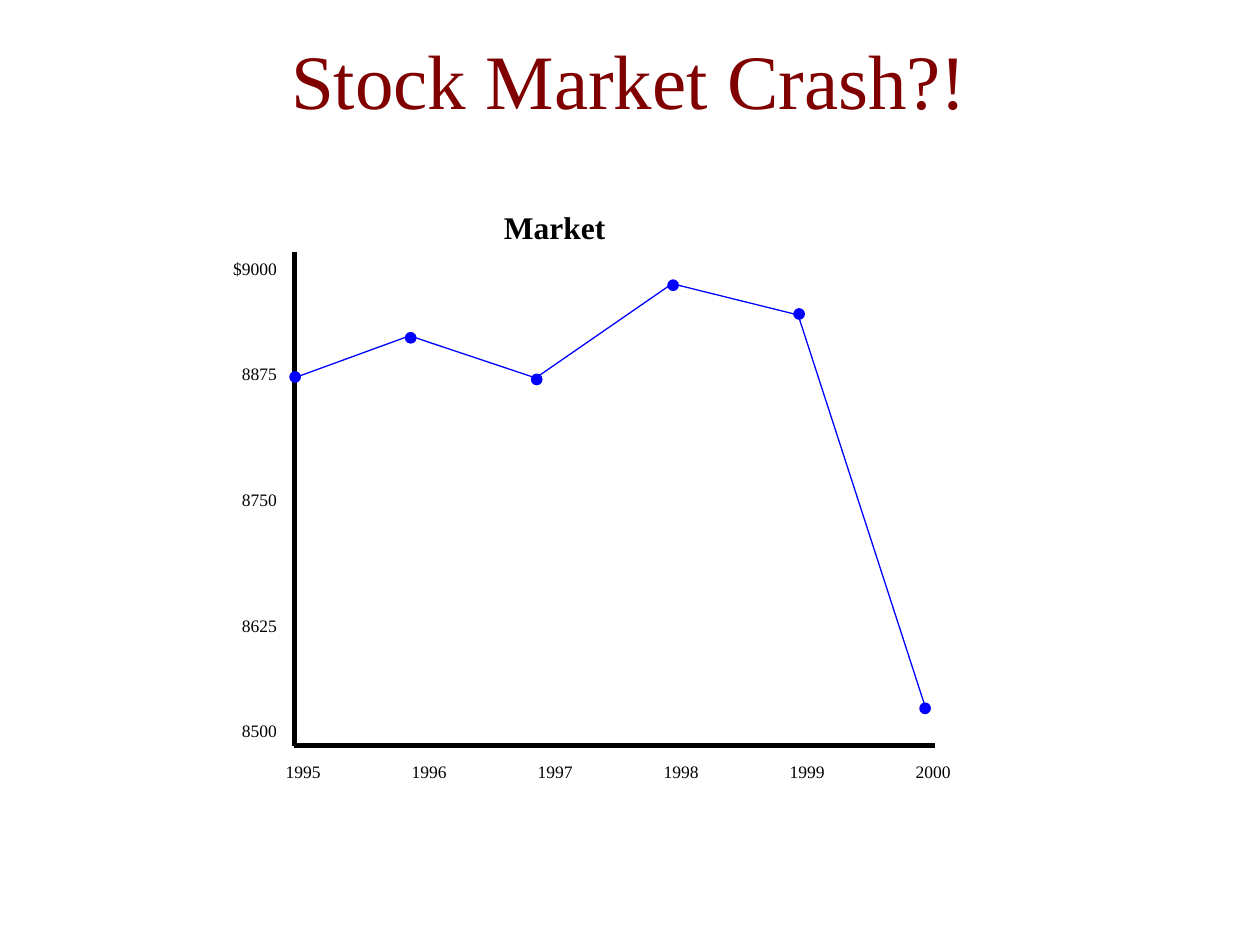
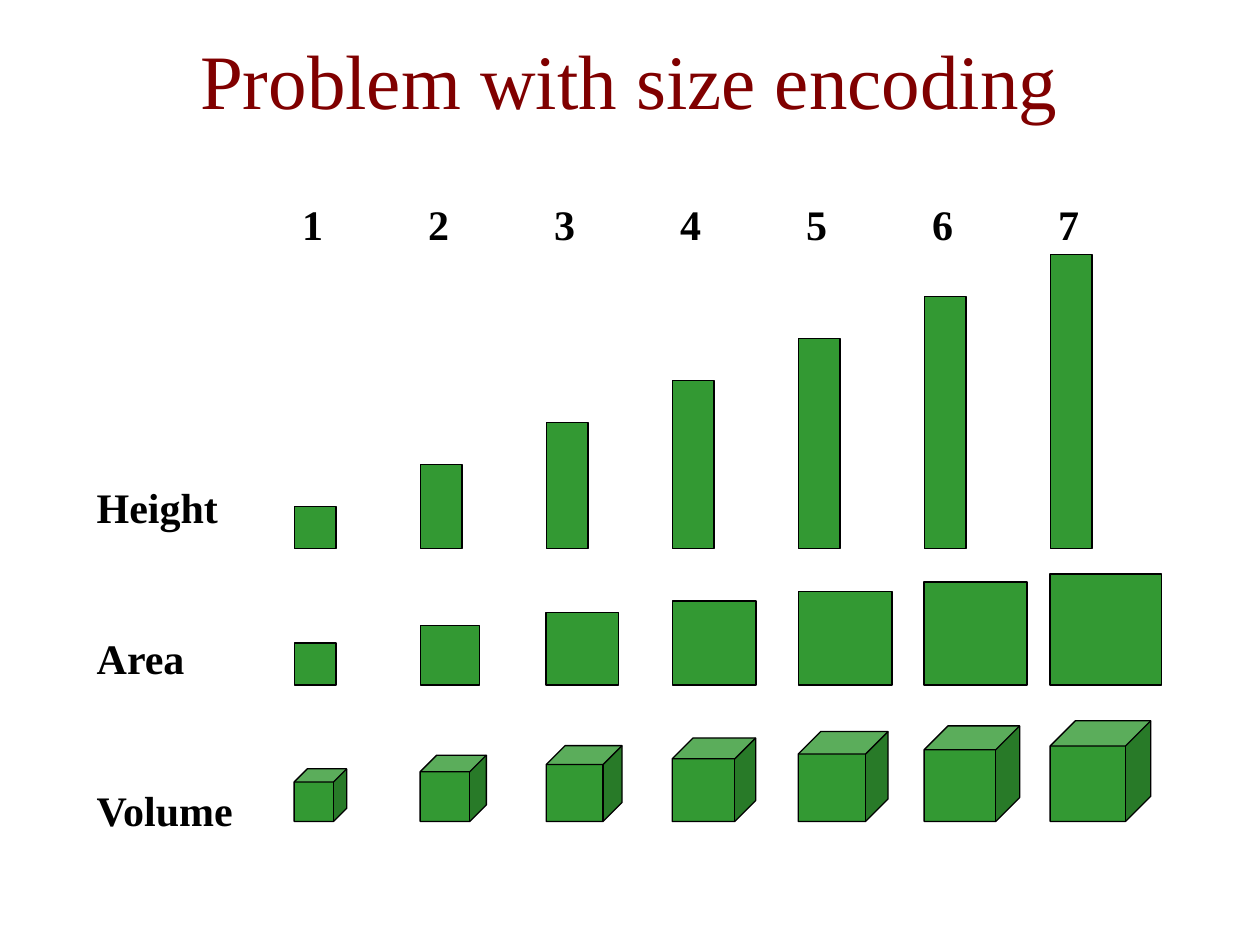
from math import sqrt

from lxml import etree
from pptx import Presentation
from pptx.dml.color import RGBColor
from pptx.enum.shapes import MSO_CONNECTOR, MSO_SHAPE
from pptx.enum.text import MSO_ANCHOR, MSO_AUTO_SIZE, PP_ALIGN
from pptx.oxml.ns import qn
from pptx.util import Cm, Pt

STRAIGHT = MSO_CONNECTOR.STRAIGHT
RECTANGLE, CUBE, OVAL = MSO_SHAPE.RECTANGLE, MSO_SHAPE.CUBE, MSO_SHAPE.OVAL
LEFT, CENTER, RIGHT = PP_ALIGN.LEFT, PP_ALIGN.CENTER, PP_ALIGN.RIGHT
TOP, MIDDLE = MSO_ANCHOR.TOP, MSO_ANCHOR.MIDDLE
NO_FIT = MSO_AUTO_SIZE.NONE

COLORS = {"title": "800000", "ink": "000000", "series": "0000FF", "block": "339933"}
FONT = "Times New Roman"
LINE_HEIGHT = 1.2
TAB_STEP = 2.54
AXIS_LEFT = 5.93


def color(name):
    return RGBColor.from_string(COLORS[name])


def write_text(frame, lines, size, ink="ink", bold=False, align=LEFT, anchor=TOP, gaps=()):
    frame.word_wrap = True
    frame.auto_size = NO_FIT
    frame.vertical_anchor = anchor
    frame.margin_left = frame.margin_right = Cm(0.25)
    frame.margin_top = frame.margin_bottom = Cm(0.13)
    for index, line in enumerate(lines):
        para = frame.add_paragraph() if index else frame.paragraphs[0]
        tab_count = line.count("\t")
        if tab_count:
            stops = etree.SubElement(para._p.get_or_add_pPr(), qn("a:tabLst"))
            for stop in range(1, tab_count + 1):
                etree.SubElement(stops, qn("a:tab"), pos=str(Cm(stop * TAB_STEP)), algn="l")
        para.alignment = align
        para.line_spacing = Pt(size * LINE_HEIGHT)
        para.space_before = Pt(gaps[index - 1] if index else 0)
        span = para.add_run()
        span.text = line
        span.font.name = FONT
        span.font.size = Pt(size)
        span.font.bold = bold
        span.font.color.rgb = color(ink)


class SlideBuilder:
    def __init__(self, deck):
        self.deck = deck
        self.slide = None

    def start(self, title):
        self.slide = self.deck.slides.add_slide(self.deck.slide_layouts[5])
        box = self.slide.shapes.title
        box.left, box.top, box.width, box.height = Cm(0.2), Cm(0), Cm(24.97), Cm(3.18)
        write_text(box.text_frame, [title], 44, ink="title", align=CENTER, anchor=MIDDLE)

    def text(self, left, top, width, height, lines, size, **style):
        box = self.slide.shapes.add_textbox(Cm(left), Cm(top), Cm(width), Cm(height))
        write_text(box.text_frame, lines, size, **style)

    def shape(self, kind, left, top, width, height, fill, line="ink"):
        shape = self.slide.shapes.add_shape(kind, Cm(left), Cm(top), Cm(width), Cm(height))
        shape.shadow.inherit = False
        shape.fill.solid()
        shape.fill.fore_color.rgb = color(fill)
        self.outline(shape, line, 0.75)

    def axis(self, start, end):
        axis = self.slide.shapes.add_connector(
            STRAIGHT, *(Cm(value) for value in (*start, *end)))
        self.outline(axis, "ink", 3)
        etree.SubElement(axis._element.spPr, qn("a:effectLst"))

    def polyline(self, points):
        corners = [(Cm(x), Cm(y)) for x, y in points]
        builder = self.slide.shapes.build_freeform(*corners[0])
        builder.add_line_segments(corners[1:], close=False)
        curve = builder.convert_to_shape()
        curve.shadow.inherit = False
        curve.fill.background()
        self.outline(curve, "series", 0.75)

    def outline(self, shape, name, width):
        shape.line.color.rgb = color(name)
        shape.line.width = Pt(width)


def add_market_slide(page):
    page.start("Stock Market Crash?!")
    axis_bottom = 15.03
    page.axis((AXIS_LEFT, 5.08), (AXIS_LEFT, axis_bottom))
    page.axis((AXIS_LEFT, axis_bottom), (18.84, axis_bottom))
    years = "\t".join(str(year) for year in range(1995, 2001))
    page.text(5.51, 15.21, 14.2, 0.69, [years], 10)
    page.text(4.25, 5.08, 1.58, 10.01, ["$9000", "8875", "8750", "8625", "8500"], 10,
              align=RIGHT, gaps=(48, 60, 60, 48))
    page.text(9.91, 4.06, 2.8, 1.02, ["Market"], 18, bold=True)

    points = [(5.93, 7.62), (8.26, 6.77), (10.8, 7.62),
              (13.55, 5.72), (16.09, 6.35), (18.63, 14.18)]
    marker_heights = [7.6, 6.81, 7.65, 5.75, 6.33, 14.28]
    marker_size = 0.21
    page.polyline(points)
    for (x, _), y in zip(points, marker_heights):
        page.shape(OVAL, x + 0.02 - marker_size / 2, y - marker_size / 2,
                   marker_size, marker_size, "series", "series")


def add_encoding_slide(page):
    page.start("Problem with size encoding")
    numbers = range(1, 8)
    page.text(5.84, 3.87, 16.5, 1.27, ["\t".join(map(str, numbers))], 24, bold=True)
    page.text(1.7, 9.58, 3.6, 7.37, ["Height", "Area", "Volume"], 24, bold=True,
              gaps=(57.6, 57.6))
    unit, cube_unit = TAB_STEP / 3, 1.06
    for number in numbers:
        left = AXIS_LEFT + (number - 1) * TAB_STEP
        area_side = unit * sqrt(number)
        cube_side = cube_unit * number ** (1 / 3)
        for kind, bottom, width, height in (
            (RECTANGLE, 11.06, unit, unit * number),
            (RECTANGLE, 13.81, area_side, area_side),
            (CUBE, 16.56, cube_side, cube_side),
        ):
            page.shape(kind, left, bottom - height, width, height, "block")


def main():
    deck = Presentation()
    deck.slide_width, deck.slide_height = Cm(25.4), Cm(19.05)
    page = SlideBuilder(deck)
    add_market_slide(page)
    add_encoding_slide(page)
    deck.save("out.pptx")


if __name__ == "__main__":
    main()
